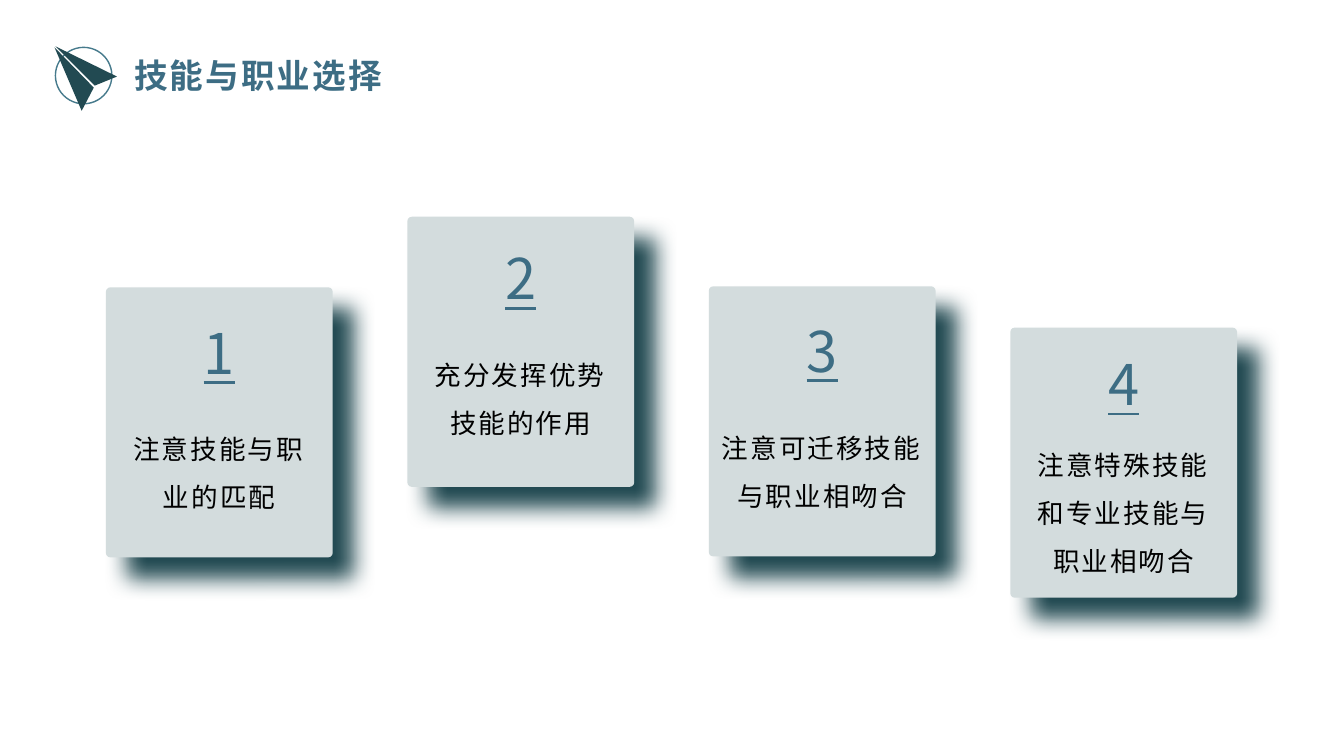
import dataclasses

import pptx
import pptx.dml.color
import pptx.enum.shapes
import pptx.enum.text
import pptx.oxml
import pptx.oxml.ns
import pptx.util

EMU_PER_PX = 9144  # 100 px to the inch
FONT = "Noto Sans CJK SC"
BLUE = pptx.dml.color.RGBColor(0x3D, 0x6D, 0x84)
RING = pptx.dml.color.RGBColor(0x46, 0x7A, 0x8C)
DARK = pptx.dml.color.RGBColor(0x22, 0x4A, 0x52)
CARD = pptx.dml.color.RGBColor(0xD3, 0xDC, 0xDD)
BLACK = pptx.dml.color.RGBColor(0, 0, 0)

CARD_LEFT, CARD_STEP, CARD_W, CARD_H = 105, 299, 225, 268
NUMBER_H = 77
SPACING = 150  # hundredths of a point between letters


@dataclasses.dataclass(frozen=True)
class Card:
    text: str
    top: int
    number_top: int
    text_top: int
    text_h: int = 106
    inset: int = 11


CARDS = [
    Card("注意技能与职业的匹配", 285, 311, 409, 119),
    Card("充分发挥优势技能的作用", 215, 237, 335),
    Card("注意可迁移技能与职业相吻合", 284, 309, 408, inset=0),
    Card("注意特殊技能和专业技能与职业相吻合", 325, 342, 425, 154),
]
WINGS = [
    [(116, 76), (94, 85), (55, 46)],
    [(93, 87), (81, 110), (54, 47)],
]


def px(n: int) -> pptx.util.Emu:
    return pptx.util.Emu(n * EMU_PER_PX)


def place(shape, left: int, top: int, width: int, height: int) -> None:
    shape.left, shape.top = px(left), px(top)
    shape.width, shape.height = px(width), px(height)


def write(shape, text: str, size: int, color, spacing: int = 0):
    """Fill a shape with one styled paragraph and return the paragraph."""
    tf = shape.text_frame
    tf.word_wrap = True
    tf.auto_size = pptx.enum.text.MSO_AUTO_SIZE.SHAPE_TO_FIT_TEXT
    p = tf.paragraphs[0]
    r = p.add_run()
    r.text = text
    p.font.size = pptx.util.Pt(size)
    p.font.name = FONT
    p.font.color.rgb = color
    for props in (p.font._element, r.font._element):
        east_asian = pptx.oxml.parse_xml(
            f'<a:ea {pptx.oxml.ns.nsdecls("a")} typeface="{FONT}"/>')
        props.append(east_asian)
    if spacing:
        r.font._element.set("spc", str(spacing))
    return p


def add_text(s, box: tuple[int, int, int, int], text: str, size: int, color,
             spacing: int = 0):
    p = write(s.shapes.add_textbox(*map(px, box)), text, size, color, spacing)
    p.alignment = pptx.enum.text.PP_ALIGN.CENTER
    return p


def add_shadow(shape) -> None:
    """Cast a soft dark shadow to the lower right."""
    shape.shadow.inherit = False
    effects = shape._element.spPr.find(pptx.oxml.ns.qn("a:effectLst"))
    effects.append(pptx.oxml.parse_xml(
        f'<a:outerShdw {pptx.oxml.ns.nsdecls("a")} blurRad="{pptx.util.Pt(16)}"'
        f' dist="{pptx.util.Pt(21)}" dir="2700000" algn="tl" rotWithShape="0">'
        f'<a:srgbClr val="{DARK}"/></a:outerShdw>'))


def add_card(s, index: int, card: Card) -> None:
    left = CARD_LEFT + index * CARD_STEP
    panel = s.shapes.add_shape(
        pptx.enum.shapes.MSO_SHAPE.ROUNDED_RECTANGLE,
        *map(px, (left, card.top, CARD_W, CARD_H)))
    panel.adjustments[0] = 0.02
    panel.fill.solid()
    panel.fill.fore_color.rgb = CARD
    panel.line.fill.background()
    add_shadow(panel)

    number_box = (left + 11, card.number_top, CARD_W - 22, NUMBER_H)
    p = add_text(s, number_box, str(index + 1), 40, BLUE)
    p.runs[0].font.underline = True
    text_box = (left + card.inset, card.text_top,
                CARD_W - 2 * card.inset, card.text_h)
    p = add_text(s, text_box, card.text, 19, BLACK, SPACING)
    p.line_spacing = 1.5


def add_icon(s) -> None:
    """Draw a paper plane over a ring."""
    group = s.shapes.add_group_shape()
    ring = group.shapes.add_shape(pptx.enum.shapes.MSO_SHAPE.OVAL,
                                  *map(px, (55, 47, 56, 56)))
    ring.fill.background()
    ring.line.color.rgb = RING
    ring.line.width = pptx.util.Pt(1)
    ring.shadow.inherit = False

    builder = group.shapes.build_freeform(*WINGS[0][0], scale=EMU_PER_PX)
    for start, *rest in WINGS:
        builder.move_to(*start)
        builder.add_line_segments(rest, close=True)
    plane = builder.convert_to_shape()
    plane.fill.solid()
    plane.fill.fore_color.rgb = DARK
    plane.line.fill.background()
    plane.shadow.inherit = False


def main() -> None:
    prs = pptx.Presentation()
    prs.slide_width, prs.slide_height = px(1333), px(750)
    s = prs.slides.add_slide(prs.slide_layouts[5])
    title = s.shapes.title
    place(title, 123, 49, 667, 50)
    p = write(title, "技能与职业选择", 24, BLUE, SPACING)
    p.font.bold = True
    p.alignment = pptx.enum.text.PP_ALIGN.LEFT
    add_icon(s)
    for index, card in enumerate(CARDS):
        add_card(s, index, card)
    prs.save("out.pptx")


if __name__ == "__main__":
    main()
